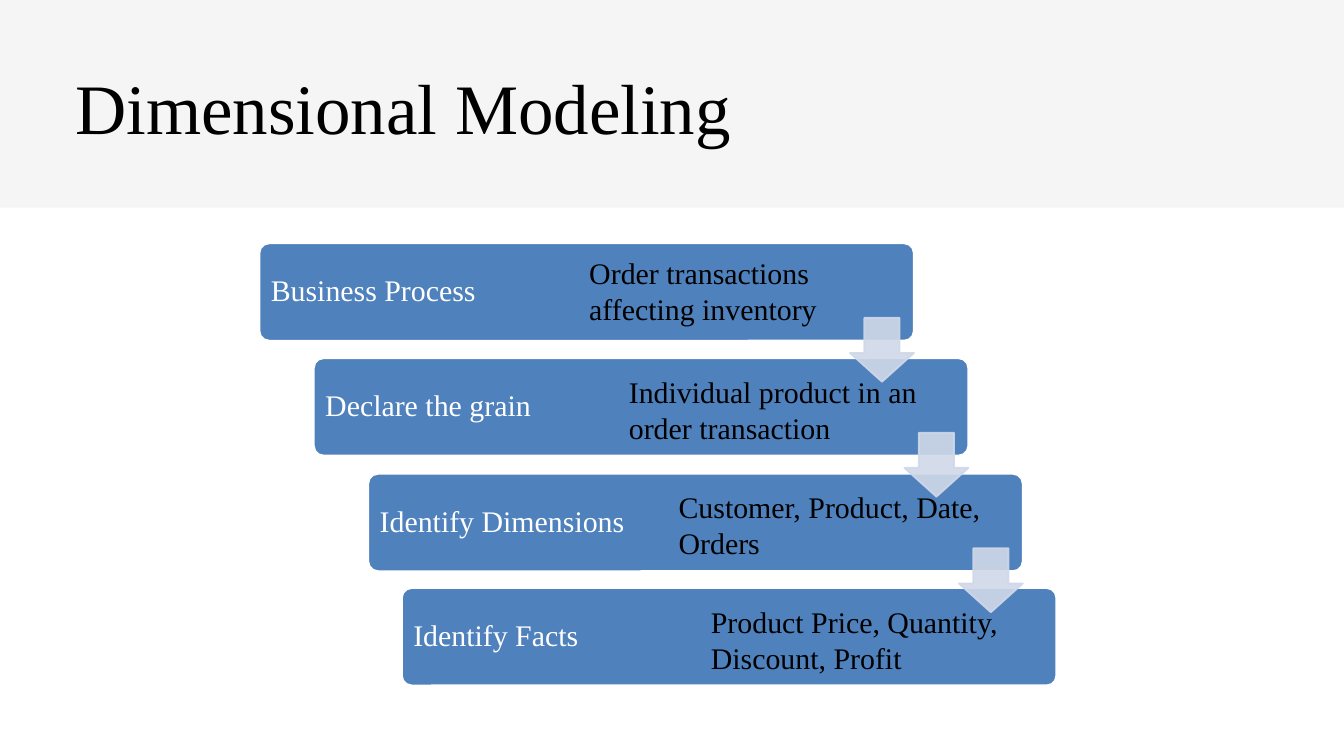
from lxml.etree import SubElement
from pptx import Presentation
from pptx.dml.color import RGBColor
from pptx.enum.shapes import MSO_SHAPE
from pptx.enum.text import MSO_ANCHOR, MSO_AUTO_SIZE, PP_ALIGN
from pptx.oxml.ns import qn
from pptx.util import Inches, Pt

COLORS = {"ink": "000000", "bar": "4F81BD", "arrow": "D0D8E8", "white": "FFFFFF"}
FONT = "Times New Roman"
BAR_W, BAR_H = 9.74, 1.45
ARROW = 0.95

# Step name, bar left and top, detail text, detail left, top and width
STEPS = [
    ("Business Process", 3.86, 3.62,
     "Order transactions affecting inventory", 8.67, 3.74, 4.88),
    ("Declare the grain", 4.67, 5.33,
     "Individual product in an order transaction", 9.26, 5.51, 5.07),
    ("Identify Dimensions", 5.48, 7.05,
     "Customer, Product, Date, Orders", 10, 7.22, 5.07),
    ("Identify Facts", 5.98, 8.75,
     "Product Price, Quantity, Discount, Profit", 10.48, 8.93, 5.07),
]


def color(name):
    return RGBColor.from_string(COLORS[name])


def assign(target, values):
    for name, value in values.items():
        setattr(target, name, value)


def add_shape(slide, kind, box, fill, line=None, adjust=(), alpha=None):
    shape = slide.shapes.add_shape(kind, *map(Inches, box))
    shape.shadow.inherit = False
    for i, value in enumerate(adjust):
        shape.adjustments[i] = value
    shape.fill.solid()
    shape.fill.fore_color.rgb = color(fill)
    if line:
        shape.line.color.rgb = color(line)
        shape.line.width = Pt(2)
    else:
        shape.line.fill.background()
    if alpha:
        for node in shape._element.spPr.iter(qn("a:srgbClr")):
            SubElement(node, qn("a:alpha"), val=str(alpha * 1000))
    return shape


def set_text(shape, text, size, ink, frame, spacing=None):
    assign(shape.text_frame, {"word_wrap": True, **frame})
    para = shape.text_frame.paragraphs[0]
    para.text = text
    assign(para, {"alignment": PP_ALIGN.LEFT, "line_spacing": spacing})
    font = para.runs[0].font
    assign(font, {"name": FONT, "size": Pt(size)})
    font.color.rgb = color(ink)


def add_text(slide, box, *style):
    shape = slide.shapes.add_textbox(*map(Inches, box))
    set_text(shape, *style)


def margins(size):
    sides = ("left", "top", "right", "bottom")
    return {f"margin_{side}": Inches(size) for side in sides}


def add_head(slide):
    title = slide.shapes.title
    place = {"left": 1.12, "top": 0.84, "width": 15.08, "height": 1.29}
    assign(title, {name: Inches(value) for name, value in place.items()})
    frame = {"vertical_anchor": MSO_ANCHOR.TOP,
             "auto_size": MSO_AUTO_SIZE.NONE, **margins(0)}
    set_text(title, "Dimensional Modeling", 76, "ink", frame, Pt(98.8))
    # The band goes behind the title
    band = add_shape(slide, MSO_SHAPE.RECTANGLE, (0, 0, 20, 3.09), "ink", alpha=4)
    slide.shapes._spTree.insert(2, band._element)


def add_bar(slide, name, left, top):
    add_shape(slide, MSO_SHAPE.ROUNDED_RECTANGLE, (left, top, BAR_W, BAR_H),
              "bar", "white", [0.1])
    frame = {"vertical_anchor": MSO_ANCHOR.MIDDLE, **margins(0.13)}
    add_text(slide, (left + 0.04, top + 0.04, 7.9, 1.37),
             name, 32, "white", frame, 0.9)


def add_arrow(slide, left, top):
    box = (left + BAR_W - ARROW, top + 1.11, ARROW, ARROW)
    add_shape(slide, MSO_SHAPE.DOWN_ARROW, box, "arrow", "arrow", [0.55, 0.45], 90)


def main():
    deck = Presentation()
    assign(deck, {"slide_width": Inches(20), "slide_height": Inches(11.25)})
    slide = deck.slides.add_slide(deck.slide_layouts[5])
    add_head(slide)

    # Staircase of bars, then the arrows between them
    for name, left, top, *_ in STEPS:
        add_bar(slide, name, left, top)
    for _, left, top, *_ in STEPS[:-1]:
        add_arrow(slide, left, top)

    # Details on top
    for *_, text, left, top, width in STEPS:
        add_text(slide, (left, top, width, 1.18), text, 32, "ink",
                 {"auto_size": MSO_AUTO_SIZE.SHAPE_TO_FIT_TEXT})

    deck.save("out.pptx")


if __name__ == "__main__":
    main()
